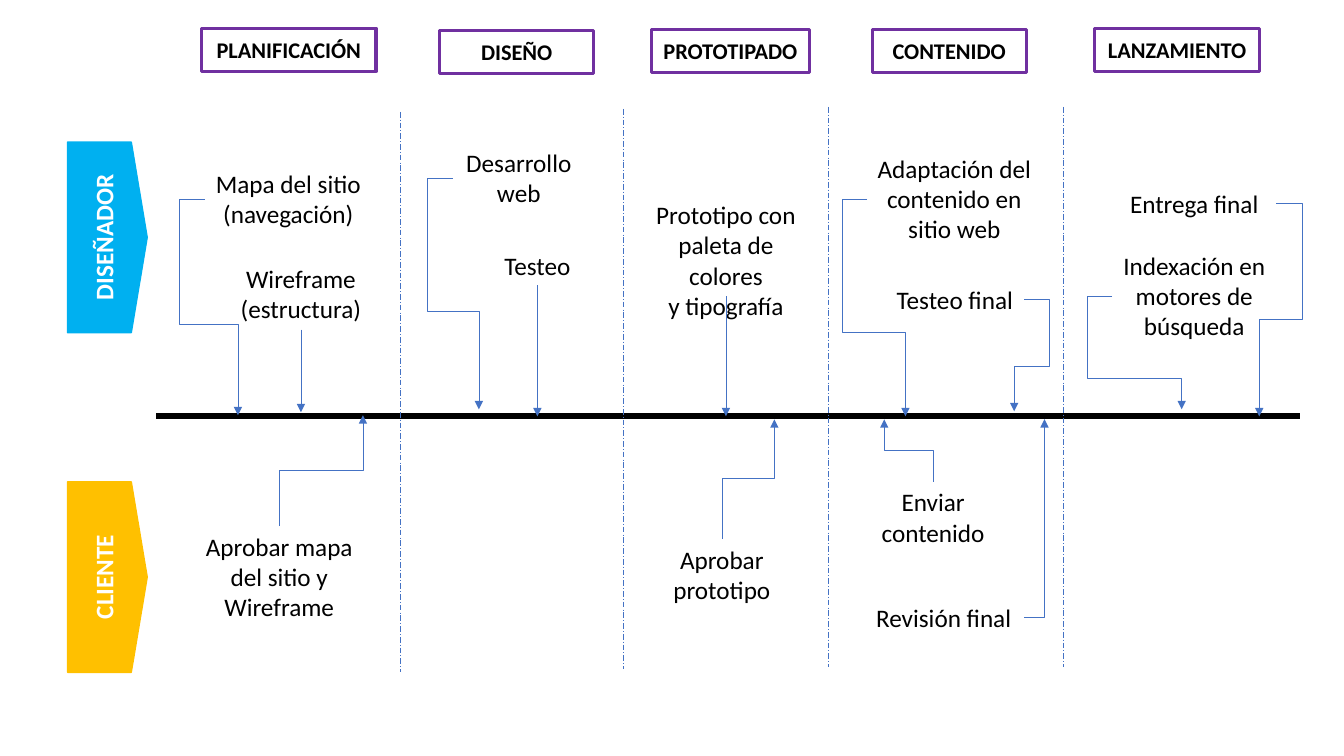
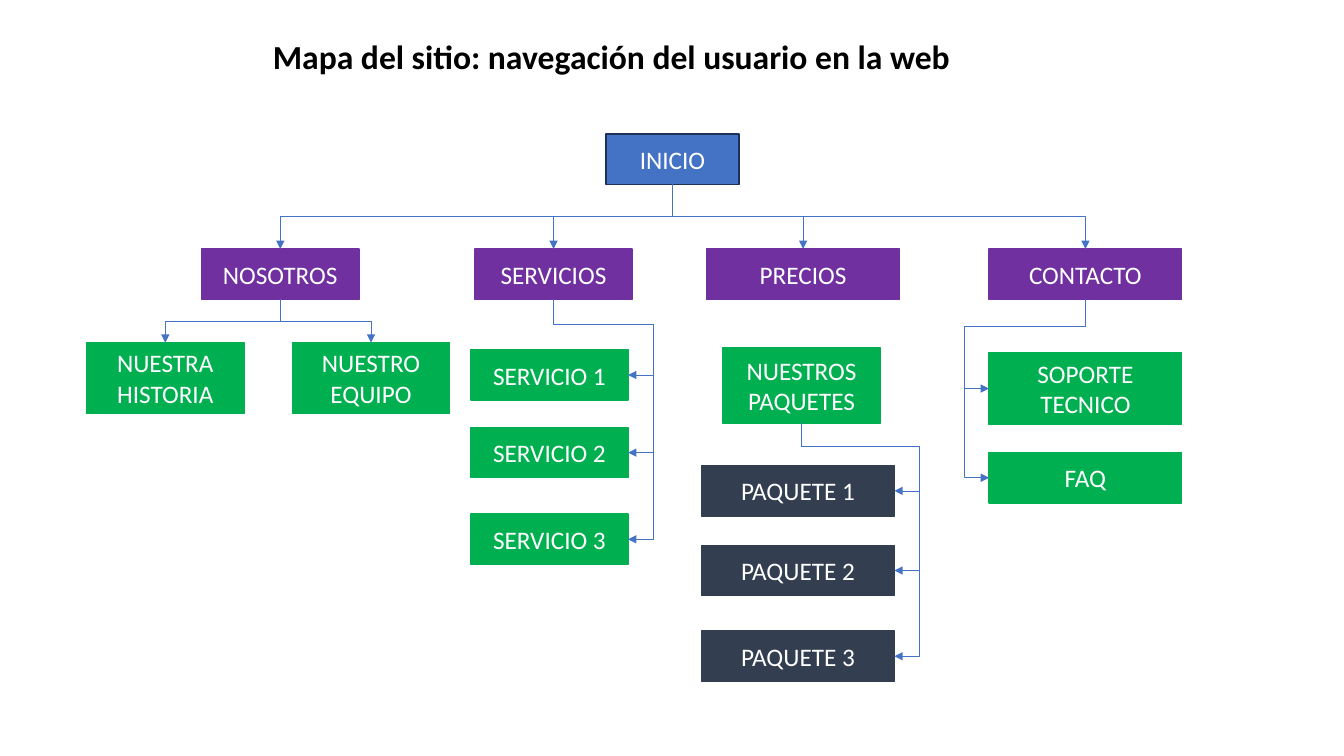
from lxml.etree import SubElement
from pptx import Presentation
from pptx.dml.color import RGBColor
from pptx.enum.dml import MSO_LINE
from pptx.enum.shapes import MSO_CONNECTOR as CONNECTOR, MSO_SHAPE as SHAPE
from pptx.enum.text import MSO_ANCHOR as ANCHOR, PP_ALIGN as ALIGN
from pptx.oxml.ns import qn
from pptx.util import Inches, Pt

FONT = "Calibri"
COLORS = {
    "black": "000000", "white": "FFFFFF", "blue": "4472C4", "navy": "1E3256",
    "purple": "7030A0", "green": "00B050", "slate": "333F50",
    "sky": "00B0F0", "amber": "FFC000",
}
SITES = {"top": 0, "left": 1, "bottom": 2, "right": 3}
LAYOUT_TITLE_ONLY, LAYOUT_BLANK = 5, 6


def color(name):
    return RGBColor.from_string(COLORS[name])


def write(frame, text, size=18, ink="black", bold=False):
    """Set centred text and format every run in it."""
    frame.text = text
    for paragraph in frame.paragraphs:
        paragraph.alignment = ALIGN.CENTER
        for run in paragraph.runs:
            run.font.name = FONT
            run.font.size = Pt(size)
            run.font.bold = bold
            run.font.color.rgb = color(ink)


def panel(slide, text, box, fill=None, border=None, border_width=1,
          preset=SHAPE.RECTANGLE, **text_style):
    """Add a labelled shape; without a fill it stays transparent."""
    shape = slide.shapes.add_shape(preset, *map(Inches, box))
    shape.shadow.inherit = False
    if fill:
        shape.fill.solid()
        shape.fill.fore_color.rgb = color(fill)
    else:
        shape.fill.background()
    shape.line.color.rgb = color(border or fill)
    shape.line.width = Pt(border_width)
    shape.text_frame.word_wrap = True
    shape.text_frame.vertical_anchor = ANCHOR.MIDDLE
    write(shape.text_frame, text, **text_style)
    return shape


def task(slide, text, box, wrap=True):
    label = slide.shapes.add_textbox(*map(Inches, box))
    label.text_frame.word_wrap = wrap
    write(label.text_frame, text)
    return label


def style_line(line, ink="blue", width=0.5, dash=None, arrow=False):
    line.line.color.rgb = color(ink)
    line.line.width = Pt(width)
    if dash:
        line.line.dash_style = dash
    properties = line._element.spPr
    if arrow:
        SubElement(properties.find(qn("a:ln")), qn("a:tailEnd"), type="triangle")
    SubElement(properties, qn("a:effectLst"))


def straight(slide, start, end, **line_style):
    line = slide.shapes.add_connector(
        CONNECTOR.STRAIGHT, *map(Inches, (*start, *end)))
    style_line(line, **line_style)
    return line


def site_point(shape, side):
    """Middle of one side of a shape, in EMU."""
    x = {"left": 0, "right": 1}.get(side, 0.5)
    y = {"top": 0, "bottom": 1}.get(side, 0.5)
    return shape.left + int(shape.width * x), shape.top + int(shape.height * y)


def elbow(slide, origin, side, target, bends=(), target_side=None):
    """Arrow from a side of origin to a point, or to a side of another shape.

    Bends are the coordinates of the middle legs, in inches, taken in turn
    across and along the direction in which the arrow leaves.
    """
    start = site_point(origin, side)
    end = site_point(target, target_side) if target_side else tuple(map(Inches, target))
    arrow = slide.shapes.add_connector(CONNECTOR.ELBOW, *start, *end)
    arrow.begin_connect(origin, SITES[side])
    if target_side:
        arrow.end_connect(target, SITES[target_side])

    dx, dy = end[0] - start[0], end[1] - start[1]
    vertical = side in ("top", "bottom")
    if vertical:
        rotation = 90 if (dx < 0) == (dy > 0) else 270
        flip_h = (dy < 0) == (rotation == 90)
        flip_v = (dx > 0) == (rotation == 90)
        width, height = abs(dy), abs(dx)
    else:
        rotation = 180 if side == "left" and dx > 0 else 0
        flip_h = (dx < 0) == (rotation == 0)
        flip_v = (dy < 0) == (rotation == 0)
        width, height = abs(dx), abs(dy)

    arrow.left = (start[0] + end[0] - width) // 2
    arrow.top = (start[1] + end[1] - height) // 2
    arrow.width, arrow.height = width, height
    frame = arrow._element.spPr.find(qn("a:xfrm"))
    frame.set("rot", str(rotation * 60000))
    frame.set("flipH", str(int(flip_h)))
    frame.set("flipV", str(int(flip_v)))

    geometry = arrow._element.spPr.find(qn("a:prstGeom"))
    geometry.set("prst", f"bentConnector{len(bends) + 2}")
    guides = geometry.find(qn("a:avLst"))
    for number, bend in enumerate(bends, 1):
        axis = int(vertical) if number == 1 else 1 - int(vertical)
        share = (Inches(bend) - start[axis]) / (end[axis] - start[axis])
        SubElement(guides, qn("a:gd"), name=f"adj{number}",
                   fmla=f"val {round(share * 100000)}")
    style_line(arrow, arrow=True)


def role_band(slide, text, top, fill):
    band = panel(slide, text, (0.67, top, 0.79, 1.89), fill,
                 preset=SHAPE.PENTAGON, ink="white", bold=True)
    band.adjustments[0] = 0.2
    band.text_frame._txBody.bodyPr.set("vert", "vert270")


def phase_headers(slide):
    for text, left, top, width in (
        ("PLANIFICACIÓN", 2, 0.28, 1.73),
        ("DISEÑO", 4.36, 0.3, 1.53),
        ("PROTOTIPADO", 6.46, 0.29, 1.57),
        ("CONTENIDO", 8.65, 0.29, 1.53),
        ("LANZAMIENTO", 10.86, 0.28, 1.63),
    ):
        panel(slide, text, (left, top, width, 0.43), border="purple",
              border_width=2.25, size=16, bold=True)


def timeline(slide):
    straight(slide, (1.55, 4.13), (12.89, 4.13), ink="black", width=4.5)
    for x, top in ((3.97, 1.11), (6.18, 1.08), (8.22, 1.06), (10.55, 1.06)):
        straight(slide, (x, top), (x, top + 5.56), dash=MSO_LINE.LONG_DASH_DOT)


def designer_tasks(slide):
    for text, box, wrap, side, tip, bends in (
        ("Mapa del sitio\n(navegación)", (2.03, 1.62, 1.66, 0.71), False,
         "left", (2.36, 4.12), (1.78, 3.22)),
        ("Desarrollo web", (4.49, 1.41, 1.31, 0.71), True,
         "left", (4.75, 4.06), (4.24, 3.09)),
        ("Adaptación del contenido en sitio web", (8.6, 1.47, 1.73, 1.01), True,
         "left", (8.98, 4.13), (8.35, 3.3)),
        ("Testeo final", (8.78, 2.77, 1.38, 0.4), True,
         "right", (10.06, 4.08), (10.41, 3.63)),
        ("Entrega final", (11.03, 1.82, 1.63, 0.4), True,
         "right", (12.49, 4.13), (12.92, 3.17)),
        ("Indexación en motores de búsqueda", (11.03, 2.43, 1.63, 1.01), True,
         "left", (11.72, 4.06), (10.78, 3.75)),
    ):
        elbow(slide, task(slide, text, box, wrap), side, tip, bends)

    for text, box, wrap, tip in (
        ("Wireframe\n(estructura)", (2.28, 2.56, 1.41, 0.71), False, 4.09),
        ("Testeo", (4.64, 2.43, 1.38, 0.4), True, 4.13),
        ("Prototipo con\npaleta de colores\ny tipografía",
         (6.35, 1.93, 1.7, 1.01), True, 4.13),
    ):
        task(slide, text, box, wrap)
        left, top, width, height = box
        middle = left + width / 2
        straight(slide, (middle, top + height), (middle, tip), arrow=True)


def client_tasks(slide):
    for text, box, side, tip, bends in (
        ("Aprobar mapa del sitio y Wireframe", (1.94, 5.22, 1.66, 1.01),
         "top", (3.6, 4.12), (4.67,)),
        ("Aprobar prototipo", (6.36, 5.35, 1.6, 0.71),
         "top", (7.68, 4.16), (4.75,)),
        ("Enviar contenido", (8.49, 4.78, 1.53, 0.71),
         "top", (8.77, 4.16), (4.47,)),
        ("Revisión final", (8.56, 5.93, 1.6, 0.4), "right", (10.36, 4.16), ()),
    ):
        elbow(slide, task(slide, text, box), side, tip, bends)


def process_slide(deck):
    slide = deck.slides.add_slide(deck.slide_layouts[LAYOUT_BLANK])
    role_band(slide, "DISEÑADOR", 1.41, "sky")
    role_band(slide, "CLIENTE", 4.78, "amber")
    phase_headers(slide)
    timeline(slide)
    designer_tasks(slide)
    client_tasks(slide)


def heading(slide, text, box):
    title = slide.shapes.title
    title.left, title.top, title.width, title.height = map(Inches, box)
    title.text_frame.word_wrap = False
    title.text_frame.vertical_anchor = ANCHOR.MIDDLE
    write(title.text_frame, text, size=24, bold=True)


def page(slide, text, box, fill, border=None):
    return panel(slide, text, box, fill, border, ink="white")


def branch(slide, parent, children, fill, side, bends):
    """Add child pages and link the bottom of the parent to a side of each."""
    pages = [page(slide, text, box, fill) for text, box in children]
    for child in pages:
        elbow(slide, parent, "bottom", child, bends, side)
    return pages


def sitemap_slide(deck):
    slide = deck.slides.add_slide(deck.slide_layouts[LAYOUT_TITLE_ONLY])
    heading(slide, "Mapa del sitio: navegación del usuario en la web",
            (2.57, 0.31, 6.99, 0.5))
    home = page(slide, "INICIO", (6.01, 1.33, 1.32, 0.5), "blue", "navy")
    about, services, _, contact = branch(slide, home, [
        (text, (left, 2.47, width, 0.5)) for text, left, width in (
            ("NOSOTROS", 2, 1.56), ("SERVICIOS", 4.71, 1.56),
            ("PRECIOS", 7.01, 1.91), ("CONTACTO", 9.81, 1.91))
    ], "purple", "top", (2.15,))
    branch(slide, about, [
        ("NUESTRA HISTORIA", (0.86, 3.4, 1.56, 0.7)),
        ("NUESTRO EQUIPO", (2.9, 3.4, 1.56, 0.7)),
    ], "green", "top", (3.19,))
    branch(slide, services, [
        (f"SERVICIO {number}", (4.67, top, 1.56, 0.5))
        for number, top in enumerate((3.47, 4.24, 5.1), 1)
    ], "green", "right", (3.22, 6.48))
    bundles = page(slide, "NUESTROS PAQUETES", (7.17, 3.45, 1.56, 0.75), "green")
    branch(slide, bundles, [
        (f"PAQUETE {number}", (6.96, top, 1.91, 0.5))
        for number, top in enumerate((4.62, 5.41, 6.26), 1)
    ], "slate", "right", (4.43, 9.12))
    branch(slide, contact, [
        ("SOPORTE TECNICO", (9.81, 3.5, 1.91, 0.71)),
        ("FAQ", (9.81, 4.49, 1.91, 0.5)),
    ], "green", "left", (3.24, 9.56))


def main():
    deck = Presentation()
    deck.slide_width, deck.slide_height = Inches(13.33), Inches(7.5)
    process_slide(deck)
    sitemap_slide(deck)
    deck.save("out.pptx")


if __name__ == "__main__":
    main()
